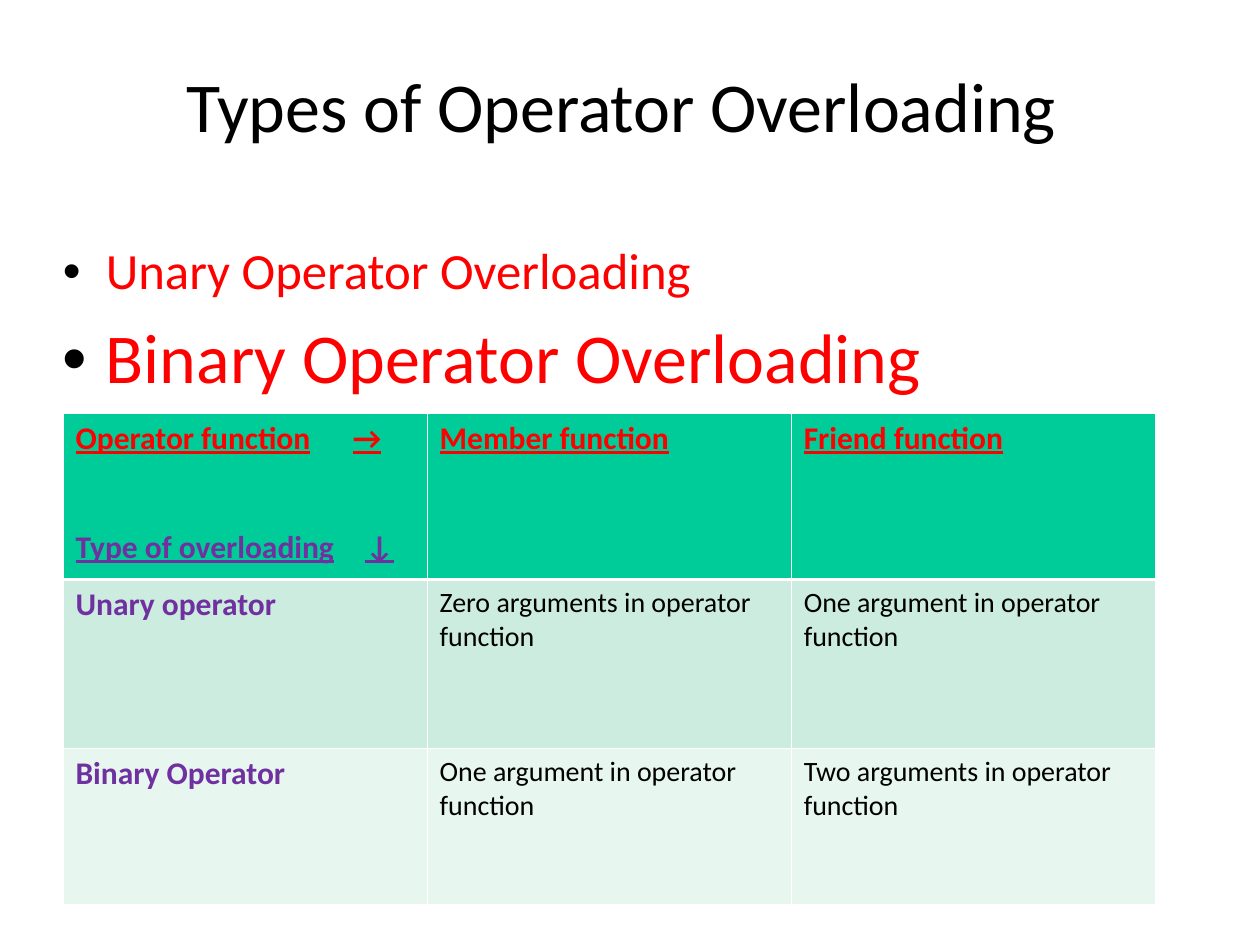
from lxml.etree import SubElement
from pptx import Presentation
from pptx.dml.color import RGBColor
from pptx.enum.text import MSO_ANCHOR, PP_ALIGN
from pptx.oxml.ns import qn
from pptx.util import Inches, Pt

BLACK = RGBColor(0x00, 0x00, 0x00)
WHITE = RGBColor(0xFF, 0xFF, 0xFF)
RED = RGBColor(0xFF, 0x00, 0x00)
PURPLE = RGBColor(0x70, 0x30, 0xA0)
GREEN = RGBColor(0x00, 0xCC, 0x99)
MINT = RGBColor(0xCB, 0xEC, 0xDE)
PALE_MINT = RGBColor(0xE7, 0xF6, 0xEF)

TITLE = "Types of Operator Overloading"
BULLETS = [("Unary Operator Overloading", 29), ("Binary Operator Overloading", 40)]
# Corner cell: text, colour, arrow tab stop in inches, space before in points
CORNER = [
    ("Operator function\t→", RED, 2.2, 0),
    ("Type of overloading\t↓", PURPLE, 2.3, 40),
]
HEADINGS = ["Member function", "Friend function"]
ROWS = [
    ("Unary operator", "Zero arguments in operator function", "One argument in operator function"),
    ("Binary Operator", "One argument in operator function", "Two arguments in operator function"),
]
ROW_FILLS = [GREEN, MINT, PALE_MINT]
ROW_HEIGHTS = [1.32, 1.34, 1.24]
COLUMN_WIDTH = 2.89
LEFT, TEXT_WIDTH = 0.5, 8.86
THIN, THICK = 0.45, 1.47


def add_text(para, text, size, color, bold=None, underline=None, align=None,
             spacing=None, before=0, after=0, bullet=None, tab=None):
    properties = para._p.get_or_add_pPr()
    if align is not None:
        para.alignment = align
    if spacing:
        para.line_spacing = spacing
    if before:
        para.space_before = Pt(before)
    if after:
        para.space_after = Pt(after)
    if bullet:
        properties.set("marL", str(Inches(0.34)))
        properties.set("indent", str(-Inches(0.34)))
        bullet_color = SubElement(properties, qn("a:buClr"))
        SubElement(bullet_color, qn("a:srgbClr"), val=str(BLACK))
        SubElement(properties, qn("a:buFont"), typeface="Arial")
        SubElement(properties, qn("a:buChar"), char=bullet)
    if tab:
        stops = SubElement(properties, qn("a:tabLst"))
        SubElement(stops, qn("a:tab"), pos=str(Inches(tab)), algn="l")
    span = para.add_run()
    span.text = text
    span.font.name = "Calibri"
    span.font.size = Pt(size)
    span.font.color.rgb = color
    span.font.bold = bold
    span.font.underline = underline


def add_box(page, top, height, anchor, margins):
    box = page.shapes.add_textbox(
        Inches(LEFT), Inches(top), Inches(TEXT_WIDTH), Inches(height))
    frame = box.text_frame
    frame.word_wrap = True
    frame.vertical_anchor = anchor
    frame.margin_left, frame.margin_top, frame.margin_right, frame.margin_bottom = map(Inches, margins)
    return frame


def next_para(frame, index):
    return frame.paragraphs[0] if index == 0 else frame.add_paragraph()


def style_cell(cell, fill, top_width, bottom_width):
    borders = {"a:lnL": THIN, "a:lnR": THIN, "a:lnT": top_width, "a:lnB": bottom_width}
    properties = cell._tc.get_or_add_tcPr()
    for tag, width in borders.items():
        line = SubElement(properties, qn(tag), w=str(Pt(width)))
        SubElement(SubElement(line, qn("a:solidFill")), qn("a:srgbClr"), val=str(WHITE))
    cell.fill.solid()
    cell.fill.fore_color.rgb = fill


def add_comparison(page):
    columns = 1 + len(HEADINGS)
    table = page.shapes.add_table(
        len(ROW_HEIGHTS), columns, Inches(LEFT), Inches(3.28),
        Inches(COLUMN_WIDTH * columns), Inches(sum(ROW_HEIGHTS))).table
    for column in table.columns:
        column.width = Inches(COLUMN_WIDTH)
    for index, (height, fill) in enumerate(zip(ROW_HEIGHTS, ROW_FILLS)):
        table.rows[index].height = Inches(height)
        for cell in table.rows[index].cells:
            style_cell(cell, fill, THICK if index == 1 else THIN, THICK if index == 0 else THIN)

    corner = table.cell(0, 0).text_frame
    for index, (text, color, tab, before) in enumerate(CORNER):
        add_text(next_para(corner, index), text, 18, color, bold=True,
                 underline=True, tab=tab, before=before)
    for column, text in enumerate(HEADINGS, 1):
        add_text(table.cell(0, column).text_frame.paragraphs[0], text, 18, RED,
                 bold=True, underline=True)
    for row, texts in enumerate(ROWS, 1):
        for column, text in enumerate(texts):
            is_label = column == 0
            add_text(table.cell(row, column).text_frame.paragraphs[0], text,
                     18 if is_label else 16, PURPLE if is_label else BLACK,
                     bold=is_label, underline=False)


def main():
    deck = Presentation()
    deck.slide_width, deck.slide_height = Inches(10), Inches(7.5)
    page = deck.slides.add_slide(deck.slide_layouts[6])

    title = add_box(page, 0.3, 1.12, MSO_ANCHOR.MIDDLE, (0.09, 0.05, 0.09, 0.05))
    add_text(title.paragraphs[0], TITLE, 40, BLACK, align=PP_ALIGN.CENTER, spacing=0.97)

    body = add_box(page, 1.75, 4.82, MSO_ANCHOR.TOP, (0, 0.17, 0, 0))
    for index, (text, size) in enumerate(BULLETS):
        add_text(next_para(body, index), text, size, RED, spacing=0.97,
                 before=5 if index else 0, after=5, bullet="•")

    add_comparison(page)
    deck.save("out.pptx")


if __name__ == "__main__":
    main()
